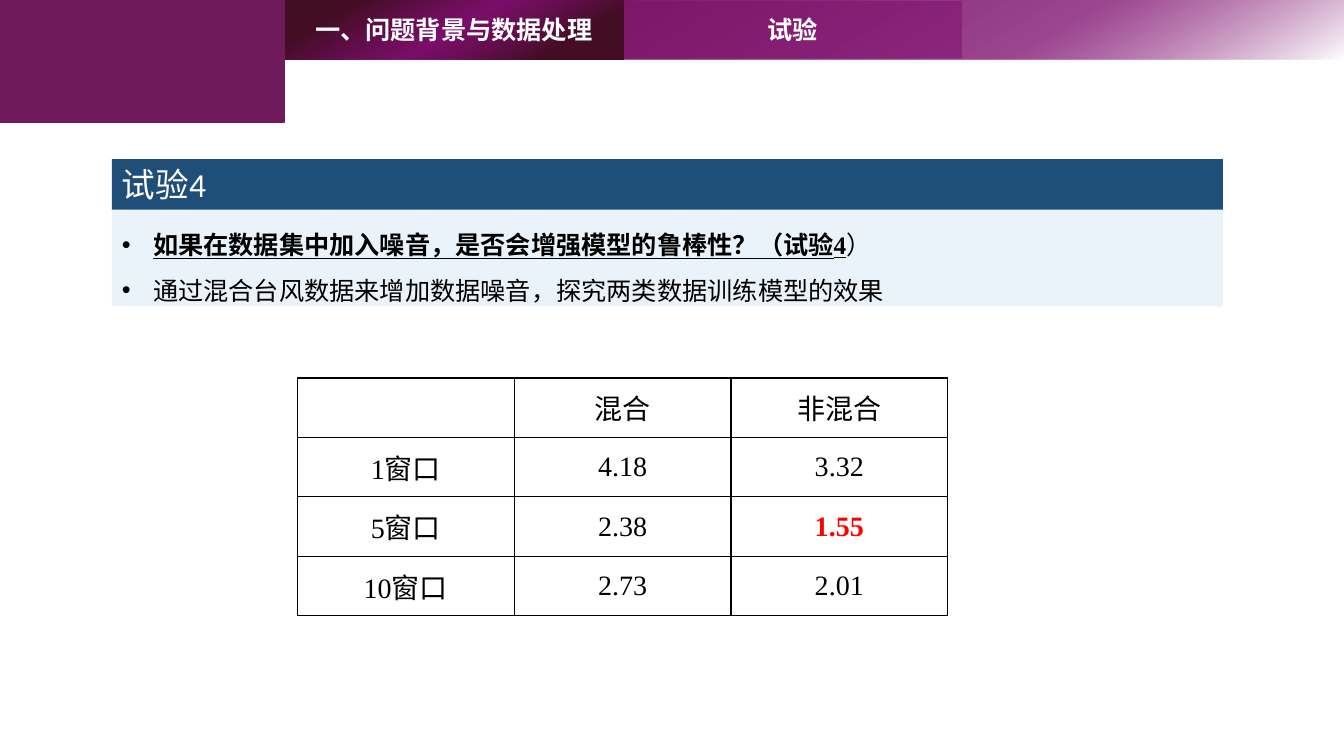
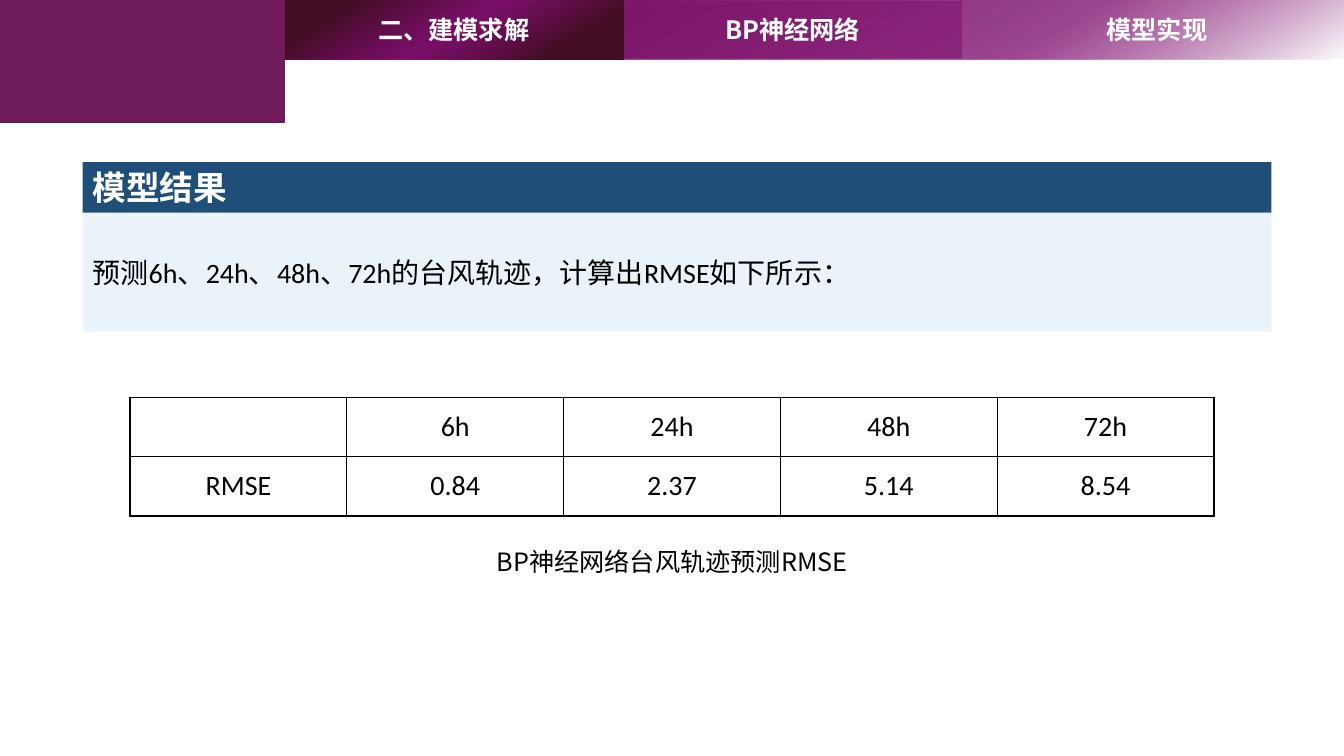
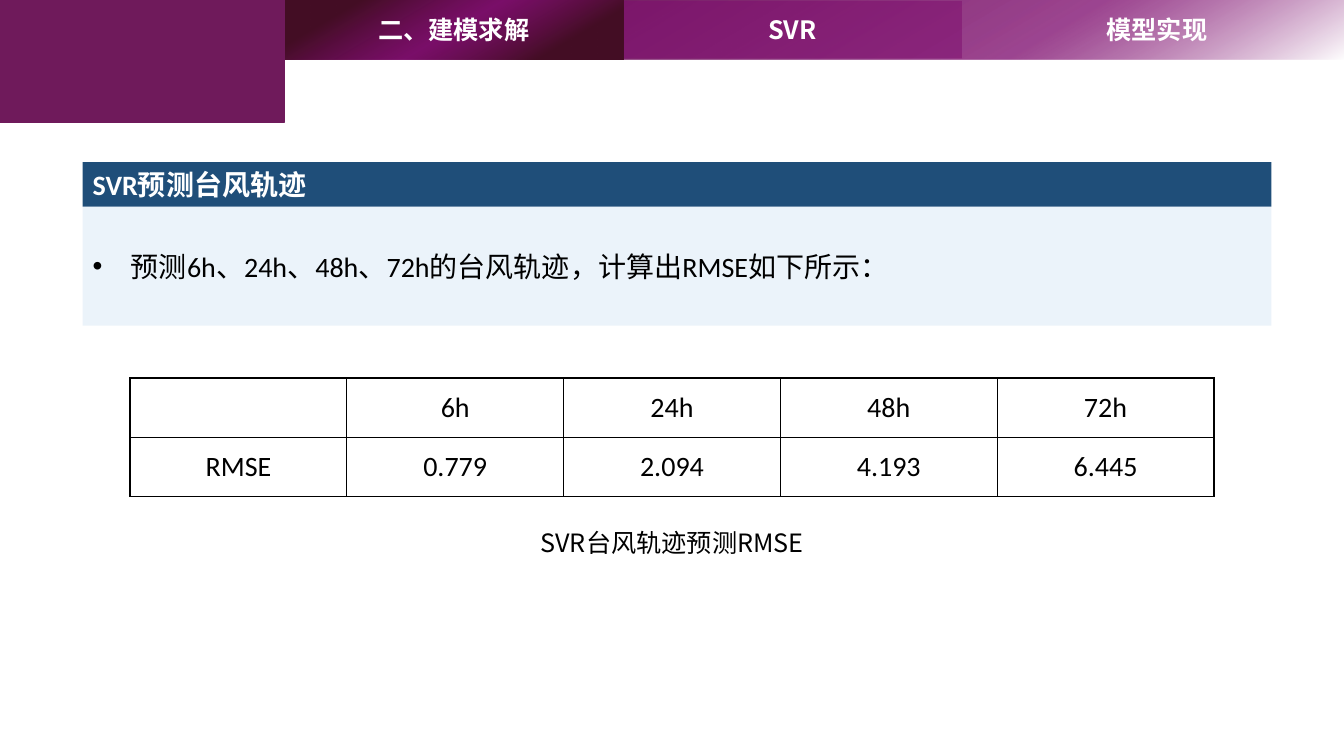
from pptx import Presentation
from pptx.dml.color import RGBColor
from pptx.enum.shapes import MSO_SHAPE as SHAPE
from pptx.enum.text import MSO_ANCHOR as ANCHOR, PP_ALIGN as ALIGN
from pptx.oxml.ns import qn
from pptx.util import Inches, Pt
from lxml.etree import SubElement

# Shared look
W, H = 13.33, 7.5
COLORS = dict(white="FFFFFF", black="000000", red="FF0000", plum="6F1A5B",
              violet="7E0C6E", wine="440E25", navy="1F4E79", sky="9DC3E6")
CJK, SANS, SERIF = "Noto Sans CJK SC", "Calibri", "Times New Roman"
CORNER_W, CORNER_H = 2.82, 1.21
BAND_H, TAB_W, TAB_H = 0.59, 3.36, 0.57
COL_W, ROW_H = 2.15, 0.59
CAPTION_W, CAPTION_H, CAPTION_GAP = 6.78, 0.4, 0.25

# Gradients: (position %, colour, opacity %)
BAND_STOPS = [(0, "white", 100), (29, "violet", 76), (82, "plum", 100)]
ACTIVE_STOPS = [(20, "wine", 100), (50, "violet", 76), (82, "wine", 100)]

# Content
HOURS = ["", "6h", "24h", "48h", "72h"]
FORECAST = "预测6h、24h、48h、72h的台风轨迹，计算出RMSE如下所示："
STRONG = dict(bold=True, underline=True)

SLIDES = [
    dict(tabs=["一、问题背景与数据处理", "试验"],
         panel=(1.11, 1.58, 11.02), heading=("试验4", 24, False, 0.5),
         body=dict(height=0.96, size=18, font=SERIF, anchor=ANCHOR.TOP, indent=0.31, spacing=1.5,
                   paras=[[("如果在数据集中加入噪音，是否会增强模型的鲁棒性？（试验4", STRONG), ("）", {})],
                          [("通过混合台风数据来增加数据噪音，探究两类数据训练模型的效果", {})]]),
         table=dict(at=(2.95, 3.75), font=SERIF, best="1.55",
                    rows=[["", "混合", "非混合"], ["1窗口", "4.18", "3.32"],
                          ["5窗口", "2.38", "1.55"], ["10窗口", "2.73", "2.01"]])),
    dict(tabs=["二、建模求解", "BP神经网络", "模型实现"],
         panel=(0.82, 1.61, 11.79), heading=("模型结果", 24, True, 0.5),
         body=dict(height=1.18, size=20, font=SANS, anchor=ANCHOR.MIDDLE, paras=[[(FORECAST, {})]]),
         table=dict(at=(1.29, 3.94), font=SANS,
                    rows=[HOURS, ["RMSE", "0.84", "2.37", "5.14", "8.54"]]),
         caption="BP神经网络台风轨迹预测RMSE"),
    dict(tabs=["二、建模求解", "SVR", "模型实现"],
         panel=(0.82, 1.61, 11.79), heading=("SVR预测台风轨迹", 20, True, 0.44),
         body=dict(height=1.18, size=20, font=SANS, anchor=ANCHOR.MIDDLE, indent=0.38,
                   paras=[[(FORECAST, {})]]),
         table=dict(at=(1.29, 3.75), font=SANS,
                    rows=[HOURS, ["RMSE", "0.779", "2.094", "4.193", "6.445"]]),
         caption="SVR台风轨迹预测RMSE"),
]


def rgb(name):
    return RGBColor.from_string(COLORS[name])


def add_color(parent, name, opacity=100):
    clr = SubElement(parent, qn("a:srgbClr"), val=COLORS[name])
    if opacity < 100:
        SubElement(clr, qn("a:alpha"), val=str(opacity * 1000))


def add_rect(s, x, y, w, h, fill=None, opacity=100, stops=None):
    sp = s.shapes.add_shape(SHAPE.RECTANGLE, *map(Inches, (x, y, w, h)))
    sp.shadow.inherit = False
    sp.line.fill.background()
    pr = sp._element.spPr
    if stops:
        sp.fill.gradient()
        sp.fill.gradient_angle = 120
        gs_list = pr.find(qn("a:gradFill")).find(qn("a:gsLst"))
        for gs in list(gs_list):
            gs_list.remove(gs)
        for pos, name, alpha in stops:
            add_color(SubElement(gs_list, qn("a:gs"), pos=str(pos * 1000)), name, alpha)
    else:
        sp.fill.solid()
        sp.fill.fore_color.rgb = rgb(fill)
        if opacity < 100:
            solid = pr.find(qn("a:solidFill"))
            solid.remove(solid[0])
            add_color(solid, fill, opacity)
    return sp


def add_textbox(s, x, y, w, h):
    return s.shapes.add_textbox(*map(Inches, (x, y, w, h)))


def add_run(p, text, size, font, color, bold=False, underline=False):
    r = p.add_run()
    r.text = text
    f = r.font
    f.size, f.name, f.bold, f.underline = Pt(size), font, bold, underline
    f.color.rgb = rgb(color)
    SubElement(r._r.get_or_add_rPr(), qn("a:ea"), typeface=CJK)


def write(sp, text, size, font, color, bold=False, align=ALIGN.CENTER, anchor=ANCHOR.MIDDLE):
    tf = sp.text_frame
    tf.word_wrap, tf.vertical_anchor = True, anchor
    p = tf.paragraphs[0]
    p.alignment = align
    add_run(p, text, size, font, color, bold)


def add_bullet(p, indent):
    pr = p._p.get_or_add_pPr()
    pr.set("marL", str(Inches(indent)))
    pr.set("indent", str(-Inches(indent)))
    SubElement(pr, qn("a:buFont"), typeface="Arial")
    SubElement(pr, qn("a:buChar"), char="•")


def add_header(s, tabs):
    add_rect(s, CORNER_W, 0, W - CORNER_W, BAND_H, stops=BAND_STOPS)
    current = add_rect(s, CORNER_W + TAB_W, 0.01, TAB_W, TAB_H, "violet", 50)
    section = add_rect(s, CORNER_W, 0, TAB_W, BAND_H, stops=ACTIVE_STOPS)
    corner = add_rect(s, 0, 0, CORNER_W, CORNER_H, "plum")
    corner.line.color.rgb = rgb("plum")
    corner.line.width = Pt(1)
    holders = [section, current]
    if len(tabs) > 2:
        last_x = CORNER_W + 2 * TAB_W + 0.08
        holders.append(add_textbox(s, last_x, 0.01, W - last_x, TAB_H))
    for sp, label in zip(holders, tabs):
        write(sp, label, 18, CJK, "white", True)


def add_panel(s, place, heading, body):
    x, y, w = place
    title, size, bold, title_h = heading
    bar = add_rect(s, x, y, w, title_h, "navy")
    write(bar, title, size, SANS, "white", bold, ALIGN.LEFT, ANCHOR.TOP)
    sp = add_rect(s, x, y + title_h, w, body["height"], "sky", 20)
    tf = sp.text_frame
    tf.word_wrap, tf.vertical_anchor = True, body["anchor"]
    for i, runs in enumerate(body["paras"]):
        p = tf.add_paragraph() if i else tf.paragraphs[0]
        if "indent" in body:
            add_bullet(p, body["indent"])
        p.alignment = ALIGN.LEFT
        p.line_spacing = body.get("spacing", 1.0)
        for text, style in runs:
            add_run(p, text, body["size"], body["font"], "black", **style)


def add_borders(cell):
    pr = cell._tc.get_or_add_tcPr()
    for side in "LRTB":
        ln = SubElement(pr, qn("a:ln" + side), w=str(Pt(1)))
        add_color(SubElement(ln, qn("a:solidFill")), "black")


def add_grid(s, at, font, rows, best=None):
    n_rows, n_cols = len(rows), len(rows[0])
    size = (n_cols * COL_W, n_rows * ROW_H)
    table = s.shapes.add_table(n_rows, n_cols, *map(Inches, at + size)).table
    table.first_row = table.horz_banding = False
    for i, row in enumerate(rows):
        for j, text in enumerate(row):
            cell = table.cell(i, j)
            cell.margin_left = cell.margin_right = Inches(0.07)
            cell.margin_top = cell.margin_bottom = 0
            cell.vertical_anchor = ANCHOR.MIDDLE
            add_borders(cell)
            cell.fill.background()
            if text:
                p = cell.text_frame.paragraphs[0]
                p.alignment = ALIGN.CENTER
                is_best = text == best
                add_run(p, text, 20, font, "red" if is_best else "black", is_best)
    return at[1] + size[1]


def main():
    prs = Presentation()
    prs.slide_width, prs.slide_height = Inches(W), Inches(H)
    for spec_ in SLIDES:
        s = prs.slides.add_slide(prs.slide_layouts[6])
        add_header(s, spec_["tabs"])
        add_panel(s, spec_["panel"], spec_["heading"], spec_["body"])
        bottom = add_grid(s, **spec_["table"])
        if "caption" in spec_:
            box = add_textbox(s, (W - CAPTION_W) / 2, bottom + CAPTION_GAP, CAPTION_W, CAPTION_H)
            write(box, spec_["caption"], 18, CJK, "black", anchor=ANCHOR.TOP)
    prs.save("out.pptx")


if __name__ == "__main__":
    main()
